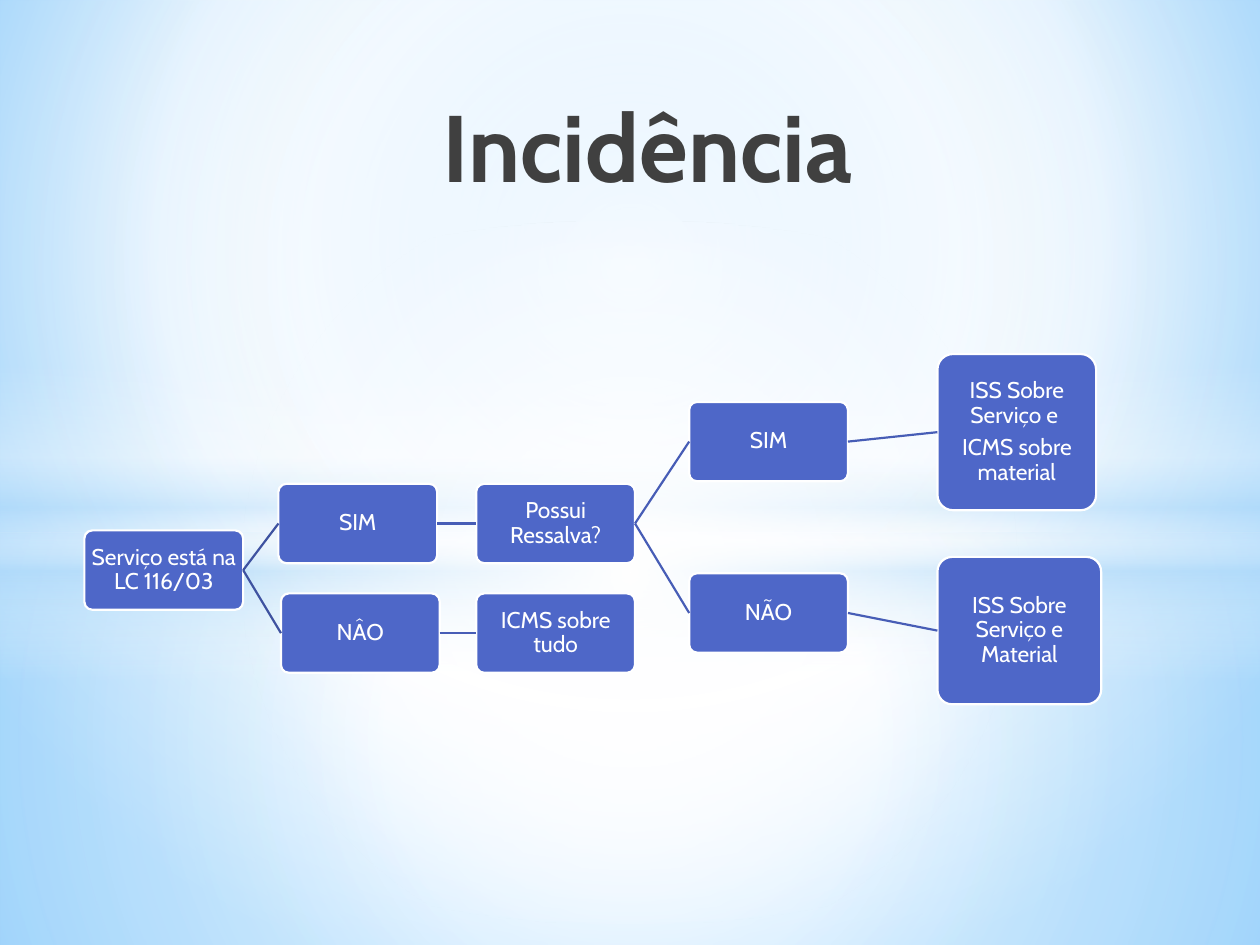
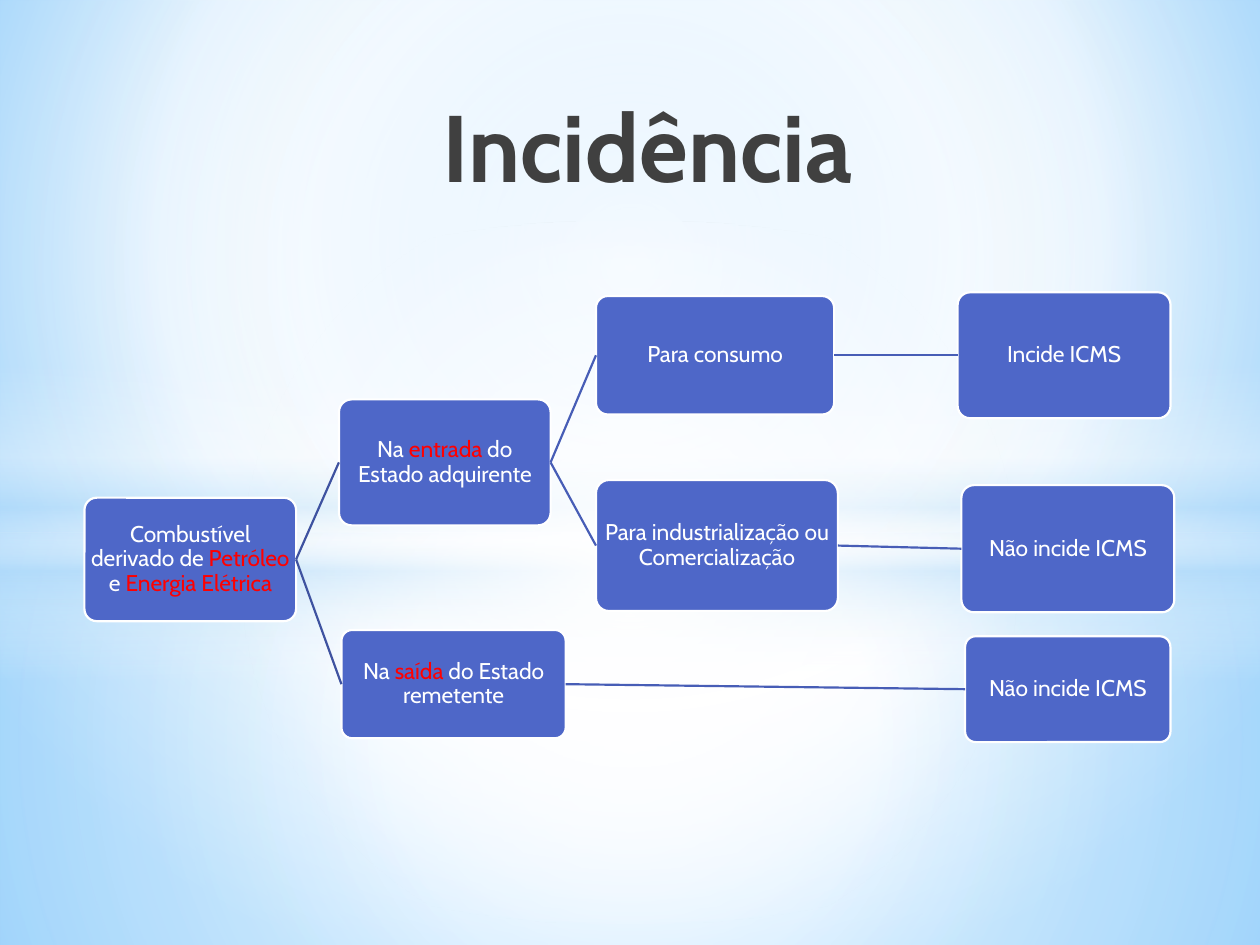
from lxml.etree import SubElement
from pptx import Presentation
from pptx.dml.color import RGBColor
from pptx.enum.shapes import MSO_CONNECTOR as Connector, MSO_SHAPE as Shape
from pptx.enum.text import MSO_ANCHOR as Anchor, MSO_AUTO_SIZE as AutoSize, PP_ALIGN as Align
from pptx.oxml.ns import qn
from pptx.util import Inches, Pt

FONT = "Cabin"
WHITE = RGBColor(0xFF, 0xFF, 0xFF)
RED = RGBColor(0xFF, 0x00, 0x00)
TITLE_GRAY = RGBColor(0x40, 0x40, 0x40)
BOX_BLUE = RGBColor(0x4E, 0x67, 0xC8)
ROOT_LINE = RGBColor(0x3E, 0x52, 0xA0)
BRANCH_LINE = RGBColor(0x47, 0x5D, 0xB6)
PALE_BLUE = RGBColor(0xB4, 0xDC, 0xFA)
SKY = RGBColor(0x9E, 0xD5, 0xFF)
DEEP_SKY = RGBColor(0x5B, 0xB9, 0xFF)

CENTER = (50, 50, 50, 50)

# Backdrop layers: preset, (left, top, width, height), (position, colour, opacity) stops, focus
BACKDROP = [
    (Shape.RECTANGLE, (0, 4.23, 10, 3.27),
     [(0, WHITE, 91), (37, WHITE, 76), (100, PALE_BLUE, 79)], CENTER),
    (Shape.RECTANGLE, (0, 0, 10, 4.23),
     [(0, WHITE, 89), (48, WHITE, 62), (100, PALE_BLUE, 79)], CENTER),
    (Shape.RECTANGLE, (0, 2.9, 10, 2.5),
     [(0, WHITE, 0), (29, WHITE, 30), (45, PALE_BLUE, 40),
      (55, WHITE, 26), (65, PALE_BLUE, 60), (100, WHITE, 0)], None),
    (Shape.OVAL, (0, 1.75, 10, 5.58), [(0, WHITE, 100), (54, WHITE, 0)], CENTER),
]


def set_gradient(fill, owner, stops, focus=None):
    """Radial gradient around focus, or a vertical one without it."""
    fill.gradient()
    grad = next(owner.iter(qn("a:gradFill")))
    for child in list(grad):
        grad.remove(child)
    stop_list = SubElement(grad, qn("a:gsLst"))
    for position, color, opacity in stops:
        stop = SubElement(stop_list, qn("a:gs"), pos=str(position * 1000))
        tint = SubElement(stop, qn("a:srgbClr"), val=str(color))
        if opacity < 100:
            SubElement(tint, qn("a:alpha"), val=str(opacity * 1000))
    if focus:
        radial = SubElement(grad, qn("a:path"), {"path": "circle"})
        SubElement(radial, qn("a:fillToRect"),
                   {side: str(share * 1000) for side, share in zip("ltrb", focus)})
    else:
        SubElement(grad, qn("a:lin"), ang="5400000", scaled="0")


class Deck:
    def __init__(self):
        self.prs = Presentation()
        self.prs.slide_width, self.prs.slide_height = Inches(10), Inches(7.5)
        master = self.prs.slide_master
        set_gradient(master.background.fill, master.element,
                     [(0, SKY, 100), (60, WHITE, 100), (100, DEEP_SKY, 100)],
                     (20, 10, 20, 60))
        self.slide = None

    def new_slide(self, title):
        self.slide = self.prs.slides.add_slide(self.prs.slide_layouts[5])
        self.backdrop()
        self.title(title)

    def shape(self, preset, bounds):
        shape = self.slide.shapes.add_shape(preset, *map(Inches, bounds))
        shape.shadow.inherit = False
        return shape

    def backdrop(self):
        for depth, (preset, bounds, stops, focus) in enumerate(BACKDROP, 2):
            layer = self.shape(preset, bounds)
            layer.line.fill.background()
            set_gradient(layer.fill, layer.element, stops, focus)
            self.slide.shapes.element.insert(depth, layer.element)  # behind the title

    def run(self, paragraph, text, size, color, bold=False):
        run = paragraph.add_run()
        run.text = text
        font = run.font
        font.name, font.size, font.bold = FONT, Pt(size), bold
        font.color.rgb = color

    def title(self, text):
        title = self.slide.shapes.title
        title.left, title.top = Inches(0.83), Inches(0.6)
        title.width, title.height = Inches(8.42), Inches(1.1)
        frame = title.text_frame
        frame.auto_size, frame.vertical_anchor = AutoSize.NONE, Anchor.MIDDLE
        paragraph = frame.paragraphs[0]
        paragraph.alignment = Align.CENTER
        properties = paragraph._p.get_or_add_pPr()
        properties.set("marL", str(Inches(0.2)))
        properties.set("indent", "0")
        self.run(paragraph, text, 54, TITLE_GRAY, bold=True)

    def box(self, text, left, top, width=1.26, height=0.63, parent=None, line=BRANCH_LINE):
        """Tree node; words between bars are red, each line is a paragraph."""
        box = self.shape(Shape.ROUNDED_RECTANGLE, (left, top, width, height))
        box.adjustments[0] = 0.1
        box.fill.solid()
        box.fill.fore_color.rgb = BOX_BLUE
        box.line.color.rgb, box.line.width = WHITE, Pt(1.25)
        frame = box.text_frame
        frame.word_wrap, frame.vertical_anchor = True, Anchor.MIDDLE
        frame.margin_left = frame.margin_right = Inches(0.01)
        frame.margin_top = frame.margin_bottom = Inches(0.01)
        for index, words in enumerate(text.split("\n")):
            paragraph = frame.add_paragraph() if index else frame.paragraphs[0]
            paragraph.alignment = Align.CENTER
            paragraph.line_spacing, paragraph.space_after = 0.9, Pt(4.55)
            for part, piece in enumerate(words.split("|")):
                if piece:
                    self.run(paragraph, piece, 13, RED if part % 2 else WHITE)
        if parent:
            self.link(parent, box, line)
        return box

    def link(self, parent, child, color):
        link = self.slide.shapes.add_connector(Connector.STRAIGHT, 0, 0, 0, 0)
        link.begin_connect(parent, 3)
        link.end_connect(child, 1)
        link.line.color.rgb, link.line.width = color, Pt(1.25)
        SubElement(link.element.spPr, qn("a:effectLst"))


def service_slide(deck):
    deck.new_slide("Incidência")
    service = deck.box("Serviço está na LC 116/03", 0.67, 4.21)
    # Listed service
    listed = deck.box("SIM", 2.21, 3.84, parent=service, line=ROOT_LINE)
    exception = deck.box("Possui Ressalva?", 3.78, 3.84, parent=listed)
    with_exception = deck.box("SIM", 5.47, 3.19, parent=exception)
    deck.box("ISS Sobre Serviço e \nICMS sobre material", 7.44, 2.81, 1.26, 1.24,
             parent=with_exception)
    no_exception = deck.box("NÃO", 5.47, 4.55, parent=exception)
    deck.box("ISS Sobre Serviço e Material", 7.44, 4.42, 1.3, 1.17, parent=no_exception)
    # Unlisted service
    unlisted = deck.box("NÂO", 2.23, 4.71, parent=service, line=ROOT_LINE)
    deck.box("ICMS sobre tudo", 3.78, 4.71, parent=unlisted)


def energy_slide(deck):
    deck.new_slide("Incidência")
    energy = deck.box("Combustível derivado de |Petróleo| e |Energia Elétrica|",
                      0.67, 3.95, 1.68, 0.98)
    # Entry into the buying state
    entry = deck.box("Na |entrada| do Estado adquirente", 2.69, 3.17, 1.68, 1,
                     parent=energy, line=ROOT_LINE)
    consumption = deck.box("Para consumo", 4.73, 2.35, 1.89, 0.94, parent=entry)
    deck.box("Incide ICMS", 7.6, 2.32, 1.69, 1, parent=consumption)
    industry = deck.box("Para industrialização ou Comercialização", 4.73, 3.81, 1.92, 1.04,
                        parent=entry)
    deck.box("Não incide ICMS", 7.63, 3.85, 1.69, 1.01, parent=industry)
    # Exit from the sending state
    departure = deck.box("Na |saída| do Estado remetente", 2.71, 5, 1.78, 0.86,
                         parent=energy, line=ROOT_LINE)
    deck.box("Não incide ICMS", 7.66, 5.05, 1.63, 0.84, parent=departure)


def main():
    deck = Deck()
    service_slide(deck)
    energy_slide(deck)
    deck.prs.save("out.pptx")


if __name__ == "__main__":
    main()
